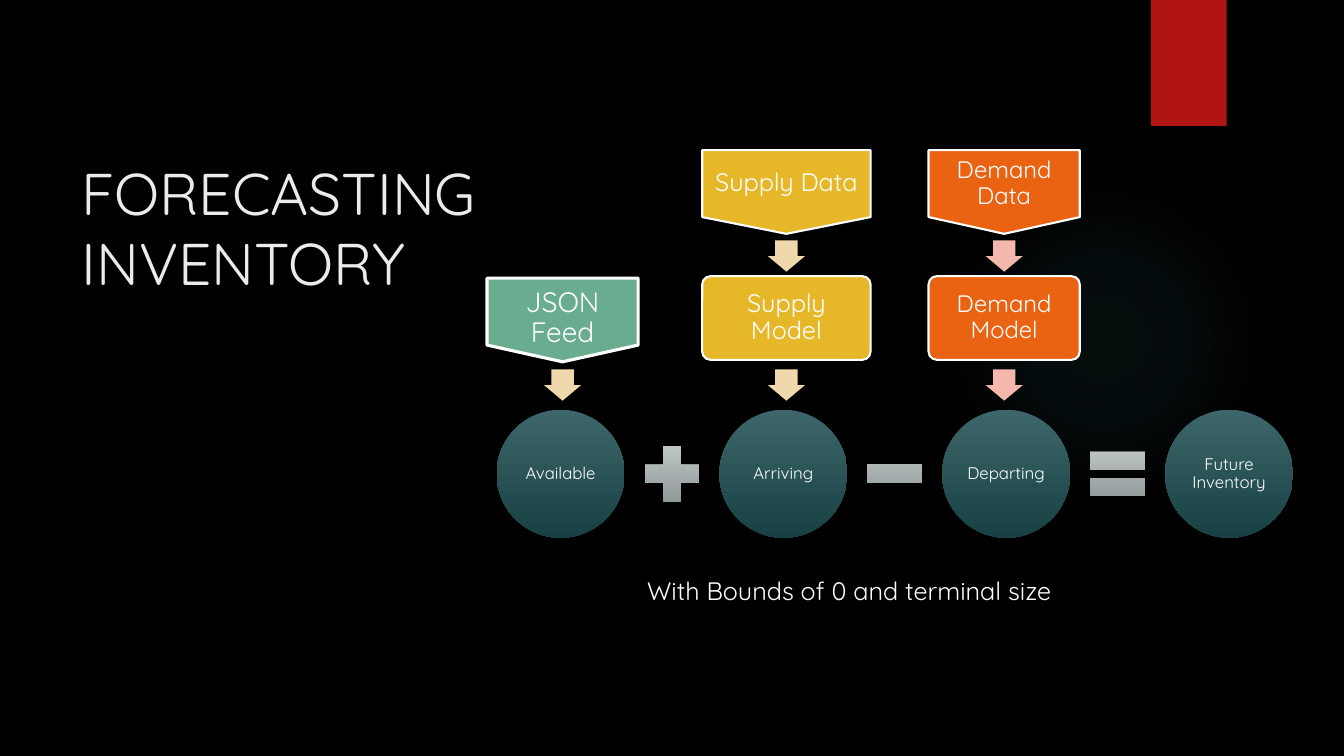
"""Build the inventory forecasting slide."""
from pptx import Presentation, util as u
from pptx.dml.color import RGBColor
from pptx.enum import shapes, text
from pptx.oxml import parse_xml
from pptx.oxml.ns import nsdecls, qn

KIND = shapes.MSO_SHAPE
FONT = "Quicksand"
HUES = {
    "back": "000000", "title": "EBEBEB", "white": "FFFFFF", "tab": "B01513",
    "gold": "E6B729", "orange": "EA6312", "green": "6AAC90",
    "sand": "F0D8AD", "pink": "F3B7AB", "glow": "50B9C1",
    "teal": ("3D666A", "184144"), "gray": ("C8CDCD", "889192"),
}
TITLE = "FORECASTING INVENTORY"
NOTE = "With Bounds of 0 and terminal size"
TERMS = ["Available", "Arriving", "Departing", "Future Inventory"]
SIGNS = [KIND.MATH_PLUS, KIND.MATH_MINUS, KIND.MATH_EQUAL]
FLOWS = [
    (7.8, 1.67, 18, "gold", "sand", ["Supply Data", "Supply Model"]),
    (9.96, 1.5, 17, "orange", "pink", ["Demand Data", "Demand Model"]),
]
FEED = (5.58, 1.5, 20, "green", "sand", "JSON Feed")
GLOW = [(0, 7), (36, 6), (69, 0)]

BOX_H, ROW_Y, ROW_STEP = 0.83, 1.49, 1.25
ARROW_W, ARROW_H, ARROW_Y, ARROW_STEP = 0.37, 0.31, 2.54, 1.28
TERM_X, TERM_Y, TERM_STEP, TERM_D, SIGN_D = 5.56, 4.7, 2.21, 1.27, 0.74


def rgb(name):
    return RGBColor.from_string(HUES.get(name, name))


def write(shape, words, size, hue="white", inset=None, align=text.PP_ALIGN.LEFT,
          anchor=text.MSO_ANCHOR.TOP, space=None):
    frame = shape.text_frame
    frame.auto_size = text.MSO_AUTO_SIZE.NONE
    frame.word_wrap = True
    frame.vertical_anchor = anchor
    if inset is not None:
        frame.margin_left = frame.margin_right = u.Inches(inset)
        frame.margin_top = frame.margin_bottom = u.Inches(inset)
    para = frame.paragraphs[0]
    para.alignment = align
    para.line_spacing = space
    run = para.add_run()
    run.text = words
    run.font.name, run.font.size = FONT, u.Pt(size)
    run.font.color.rgb = rgb(hue)


def label(shape, words, size, inset):
    write(shape, words, size, inset=inset, align=text.PP_ALIGN.CENTER,
          anchor=text.MSO_ANCHOR.MIDDLE, space=0.9)


def draw(slide, kind, mid, top, wide, high, hue, line=0):
    shape = slide.shapes.add_shape(
        kind, *map(u.Inches, (mid - wide / 2, top, wide, high)))
    shape.shadow.inherit = False
    if isinstance(HUES[hue], tuple):
        shape.fill.gradient()
        shape.fill.gradient_angle = 270
        for stop, tone in zip(shape.fill.gradient_stops, HUES[hue]):
            stop.color.rgb = rgb(tone)
    else:
        shape.fill.solid()
        shape.fill.fore_color.rgb = rgb(hue)
    if line:
        shape.line.color.rgb = rgb("white")
        shape.line.width = u.Pt(line)
    else:
        shape.line.fill.background()
    return shape


def arrow(slide, mid, step, hue):
    top = ARROW_Y + step * ARROW_STEP - ARROW_H / 2
    shape = draw(slide, KIND.DOWN_ARROW, mid, top, ARROW_W, ARROW_H, hue)
    shape.adjustments[0], shape.adjustments[1] = 0.6, 0.5


def add_glow(slide):
    shape = draw(slide, KIND.OVAL, 10.95, 1.83, 3.08, 3.08, "glow")
    stops = "".join(
        f'<a:gs pos="{pos * 1000}"><a:srgbClr val="{HUES["glow"]}">'
        f'<a:alpha val="{alpha * 1000}"/></a:srgbClr></a:gs>'
        for pos, alpha in GLOW)
    grad = parse_xml(
        f'<a:gradFill {nsdecls("a")}><a:gsLst>{stops}</a:gsLst>'
        '<a:path path="circle"><a:fillToRect l="50000" t="50000" '
        'r="50000" b="50000"/></a:path></a:gradFill>')
    props = shape._element.spPr
    props.replace(props.find(qn("a:solidFill")), grad)


def add_flows(slide):
    kinds = [KIND.FLOWCHART_OFFPAGE_CONNECTOR, KIND.ROUNDED_RECTANGLE]
    for mid, wide, size, hue, tint, names in FLOWS:
        for row, (kind, name) in enumerate(zip(kinds, names)):
            box = draw(slide, kind, mid, ROW_Y + row * ROW_STEP, wide, BOX_H, hue, 1.5)
            if row:
                box.adjustments[0] = 0.1
            label(box, name, size, 0.07)
            arrow(slide, mid, row, tint)
    mid, wide, size, hue, tint, name = FEED
    box = draw(slide, kinds[0], mid, 2.76, wide, BOX_H, hue, 2.25)
    label(box, name, size, 0.1)
    box.text_frame.vertical_anchor = text.MSO_ANCHOR.TOP
    arrow(slide, mid, 1, tint)


def add_sum(slide):
    for col, name in enumerate(TERMS):
        mid = TERM_X + col * TERM_STEP
        ball = draw(slide, KIND.OVAL, mid, TERM_Y - TERM_D / 2, TERM_D, TERM_D, "teal")
        label(ball, name, 12, 0.02)
    for col, kind in enumerate(SIGNS):
        mid = TERM_X + (col + 0.5) * TERM_STEP
        draw(slide, kind, mid, TERM_Y - SIGN_D / 2, SIGN_D, SIGN_D, "gray")


def main():
    deck = Presentation()
    deck.slide_width, deck.slide_height = u.Inches(13.33), u.Inches(7.5)
    slide = deck.slides.add_slide(deck.slide_layouts[5])
    slide.background.fill.solid()
    slide.background.fill.fore_color.rgb = rgb("back")
    add_glow(slide)
    draw(slide, KIND.RECTANGLE, 11.79, 0, 0.75, 1.25, "tab")
    add_flows(slide)
    add_sum(slide)
    head = slide.shapes.title
    head.left, head.top = u.Inches(0.71), u.Inches(1.5)
    head.width, head.height = u.Inches(4.57), u.Inches(3.58)
    write(head, TITLE, 42, "title")
    note = slide.shapes.add_textbox(*map(u.Inches, (6.32, 5.66, 6.28, 0.71)))
    write(note, NOTE, 18)
    deck.save("out.pptx")


if __name__ == "__main__":
    main()
